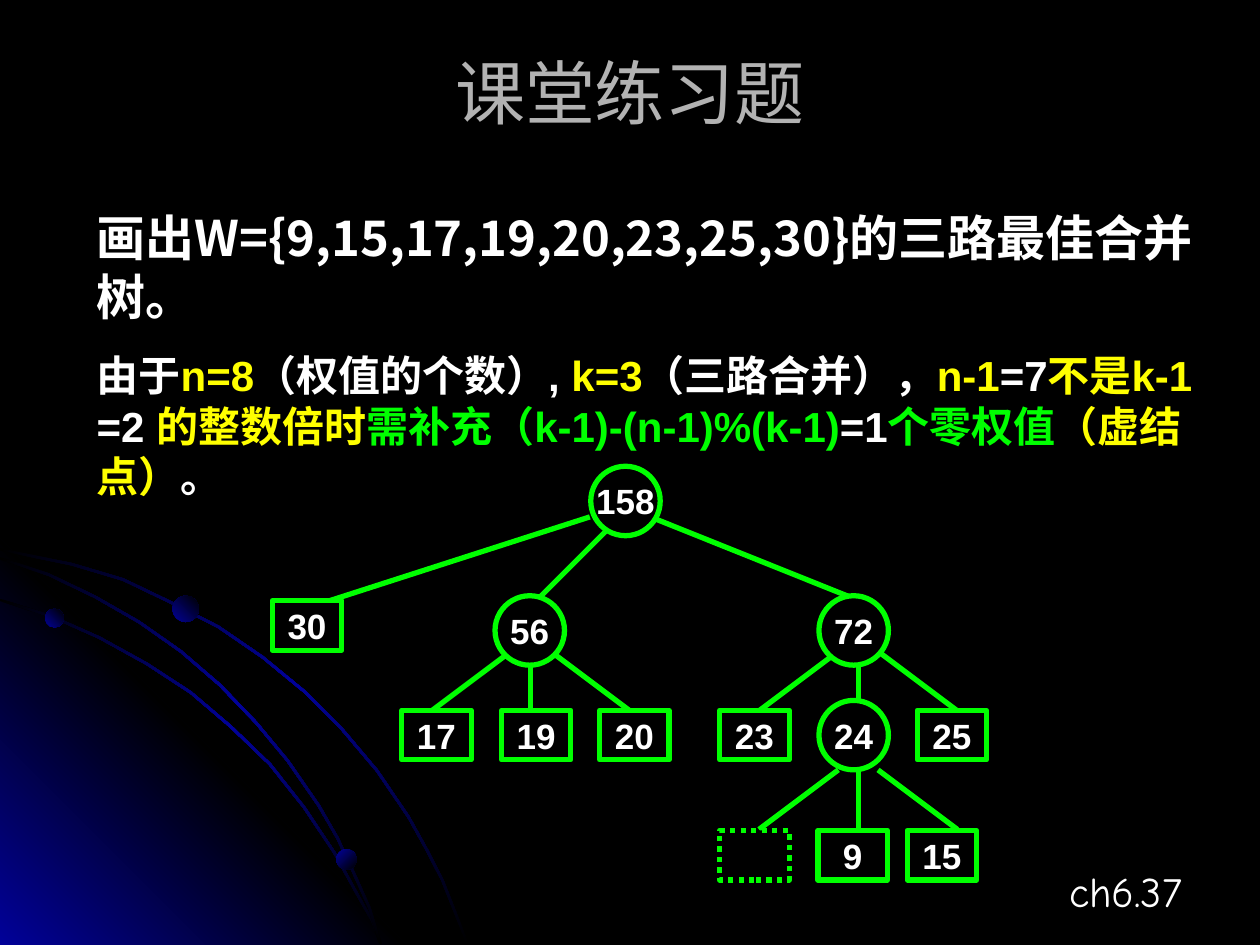
import math

import pptx
import pptx.dml.color
import pptx.enum.dml
import pptx.enum.shapes
import pptx.enum.text
import pptx.oxml
import pptx.oxml.ns
import pptx.util
from pptx.util import Cm

BLACK, NAVY, WHITE, GREY = "000000", "010199", "FFFFFF", "B2B2B2"
YELLOW, GREEN = "FFFF00", "00FF00"
CJK_FONT = "Noto Sans CJK SC"
ALIGN = pptx.enum.text.PP_ALIGN
SHAPE = pptx.enum.shapes.MSO_SHAPE

# Upper edges of the three arcs, in cm from the top left of the decoration.
ARCS = [
    [(0, 0.2), (0.71, 0.35), (1.45, 0.5), (2.49, 0.81), (3.45, 1.27),
     (4.42, 1.77), (5.31, 2.38), (6.15, 3.07), (6.91, 3.83), (7.62, 4.67),
     (8.26, 5.61), (8.61, 6.24), (8.94, 6.88), (9.19, 7.51), (9.45, 8.17)],
    [(0, 1.22), (1.04, 1.55), (2.01, 1.98), (2.97, 2.51), (3.86, 3.09),
     (4.67, 3.78), (5.46, 4.54), (6.15, 5.41), (6.76, 6.32), (7.26, 7.23),
     (7.52, 7.69), (7.7, 8.17)],
    [(0, 0.38), (0.99, 0.71), (1.93, 1.16), (2.82, 1.67), (3.66, 2.26),
     (4.45, 2.94), (5.18, 3.7), (5.82, 4.47), (6.45, 5.38), (6.83, 6.04),
     (7.16, 6.75), (7.47, 7.44), (7.7, 8.17)],
]
ARC_THICKNESS = 0.05
DOTS = [(0.91, 1.42, 0.38, 315), (6.78, 6.27, 0.41, 45), (3.48, 1.16, 0.53, 315)]

# Node centres and edges, in cm from the top left of the tree.
NODE_WIDTH, LEAF_HEIGHT = 1.4, 1.0
ROOT_EDGES = [((6.4, 1.02), (0.81, 2.82)), ((6.81, 1.22), (5.41, 2.62)),
              ((7.62, 1.02), (11.61, 2.62))]
FORKS = [(5.21, 3.73), (11.81, 3.73), (11.81, 6.12)]
INNER_NODES = [("158", 7.12, 0.7), ("56", 5.19, 3.31), ("72", 11.72, 3.31),
               ("24", 11.72, 5.42)]
LEAVES = [("30", 0.7, 3.21), ("17", 3.31, 5.42), ("19", 5.32, 5.42),
          ("20", 7.3, 5.42), ("23", 9.72, 5.42), ("25", 13.7, 5.42),
          ("", 9.72, 7.84), ("9", 11.7, 7.84), ("15", 13.5, 7.84)]

EXPLANATION = [
    ("n=8", YELLOW), ("（权值的个数）,", WHITE), (" k=3", YELLOW),
    ("（三路合并），", WHITE), ("n-1", YELLOW), ("=7", WHITE),
    ("不是k-1 ", YELLOW), ("=2 ", WHITE), ("的整数倍时", YELLOW),
    ("需补充（k-1)-(n-1)%(k-1)", GREEN), ("=1", WHITE), ("个零权值", GREEN),
    ("（虚结点）", YELLOW), ("。", WHITE),
]


def rgb(value):
    return pptx.dml.color.RGBColor.from_string(value)


def add_run(paragraph, text, size, font="Arial", color=WHITE, bold=False):
    run = paragraph.add_run()
    run.text = text
    run.font.size = pptx.util.Pt(size)
    run.font.bold = bold
    run.font.color.rgb = rgb(color)
    run.font.name = font
    properties = run.font._element
    east_asian = properties.makeelement(pptx.oxml.ns.qn("a:ea"), {"typeface": CJK_FONT})
    properties.find(pptx.oxml.ns.qn("a:latin")).addnext(east_asian)


def add_text(slide, box, text, align=ALIGN.LEFT, middle=False, **run_format):
    shape = slide.shapes.add_textbox(*[Cm(length) for length in box])
    frame = shape.text_frame
    frame.word_wrap = True
    if middle:
        frame.vertical_anchor = pptx.enum.text.MSO_ANCHOR.MIDDLE
    paragraph = frame.paragraphs[0]
    paragraph.alignment = align
    add_run(paragraph, text, **run_format)
    return paragraph


def fill_gradient(shape, colors, angle):
    """Fill with evenly spaced colours; the angle runs clockwise."""
    shape.shadow.inherit = False
    shape.line.fill.background()
    shape.fill.background()
    stops = "".join(
        f'<a:gs pos="{index * 100000 // (len(colors) - 1)}"><a:srgbClr val="{color}"/></a:gs>'
        for index, color in enumerate(colors))
    gradient = pptx.oxml.parse_xml(
        f'<a:gradFill {pptx.oxml.ns.nsdecls("a")} rotWithShape="1"><a:gsLst>{stops}</a:gsLst>'
        f'<a:lin ang="{angle * 60000}" scaled="1"/></a:gradFill>')
    properties = shape._element.spPr
    properties.replace(properties.find(pptx.oxml.ns.qn("a:noFill")), gradient)


def arc_outline(points):
    """Close a band by offsetting the upper edge along its normals."""
    lower = []
    for index, (x, y) in enumerate(points):
        before = points[max(index - 1, 0)]
        after = points[min(index + 1, len(points) - 1)]
        angle = math.atan2(after[1] - before[1], after[0] - before[0])
        lower.append((max(x - ARC_THICKNESS * math.sin(angle), 0),
                      y + ARC_THICKNESS * math.cos(angle)))
    return points + lower[::-1]


def add_outline(shapes, left, top, points):
    corners = [(Cm(left + x), Cm(top + y)) for x, y in points]
    builder = shapes.build_freeform(*corners[0])
    builder.add_line_segments(corners[1:], close=True)
    return builder.convert_to_shape()


def add_decoration(slide, left, top, size):
    shapes = slide.shapes.add_group_shape().shapes
    corner = add_outline(shapes, left, top, [(0, 0), (size, size), (0, size)])
    fill_gradient(corner, [NAVY, BLACK, NAVY], 315)
    for points in ARCS:
        arc = add_outline(shapes, left, top, arc_outline(points))
        fill_gradient(arc, [BLACK, NAVY, BLACK], 45)
    for x, y, diameter, angle in DOTS:
        dot = shapes.add_shape(SHAPE.OVAL, Cm(left + x), Cm(top + y),
                               Cm(diameter), Cm(diameter))
        fill_gradient(dot, [NAVY, BLACK], angle)


def style_line(line):
    line.color.rgb = rgb(GREEN)
    line.width = pptx.util.Pt(3)


def add_edge(shapes, left, top, start, end):
    edge = shapes.add_connector(
        pptx.enum.shapes.MSO_CONNECTOR.STRAIGHT,
        Cm(left + start[0]), Cm(top + start[1]), Cm(left + end[0]), Cm(top + end[1]))
    style_line(edge.line)
    properties = edge._element.spPr
    properties.append(properties.makeelement(pptx.oxml.ns.qn("a:effectLst"), {}))


def add_node(shapes, kind, center_x, center_y, height, label):
    node = shapes.add_shape(kind, Cm(center_x - NODE_WIDTH / 2), Cm(center_y - height / 2),
                            Cm(NODE_WIDTH), Cm(height))
    node.shadow.inherit = False
    node.fill.solid()
    node.fill.fore_color.rgb = rgb(BLACK)
    style_line(node.line)
    if not label:
        node.line.dash_style = pptx.enum.dml.MSO_LINE.ROUND_DOT
        return
    node.text_frame.word_wrap = False
    node.text_frame.vertical_anchor = pptx.enum.text.MSO_ANCHOR.MIDDLE
    paragraph = node.text_frame.paragraphs[0]
    paragraph.alignment = ALIGN.CENTER
    add_run(paragraph, label, size=20, bold=True)


def add_merge_tree(slide, left, top):
    shapes = slide.shapes.add_group_shape().shapes
    for start, end in ROOT_EDGES:
        add_edge(shapes, left, top, start, end)
    for x, y in FORKS:
        for side in (-1, 0, 1):
            add_edge(shapes, left, top, (x + side * 0.4, y), (x + side * 2, y + 1.2))
    for label, x, y in INNER_NODES:
        add_node(shapes, SHAPE.OVAL, left + x, top + y, NODE_WIDTH, label)
    for label, x, y in LEAVES:
        add_node(shapes, SHAPE.RECTANGLE, left + x, top + y, LEAF_HEIGHT, label)


def add_exercise(slide, left, top):
    add_text(slide, (left, top, 22.81, 2.64),
             "画出W={9,15,17,19,20,23,25,30}的三路最佳合并树。",
             size=28, font=CJK_FONT, bold=True)
    paragraph = add_text(slide, (left, top + 2.87, 22.61, 3.3), "由于",
                         size=24, font=CJK_FONT, bold=True)
    for text, color in EXPLANATION:
        add_run(paragraph, text, size=24, color=color, bold=True)


def main():
    presentation = pptx.Presentation()
    presentation.slide_width, presentation.slide_height = Cm(25.4), Cm(19.05)
    slide = presentation.slides.add_slide(presentation.slide_layouts[6])
    slide.background.fill.solid()
    slide.background.fill.fore_color.rgb = rgb(BLACK)
    add_decoration(slide, 0, 10.85, 8.2)
    add_text(slide, (18.29, 17.32, 5.79, 1.27), "ch6.37", align=ALIGN.RIGHT,
             size=24, font="Comic Neue")
    add_text(slide, (1.27, 0.76, 22.86, 2.16), "课堂练习题", align=ALIGN.CENTER,
             middle=True, size=40, color=GREY)
    add_exercise(slide, 1.7, 4.06)
    add_merge_tree(slide, 5.49, 9.4)
    presentation.save("out.pptx")


if __name__ == "__main__":
    main()
